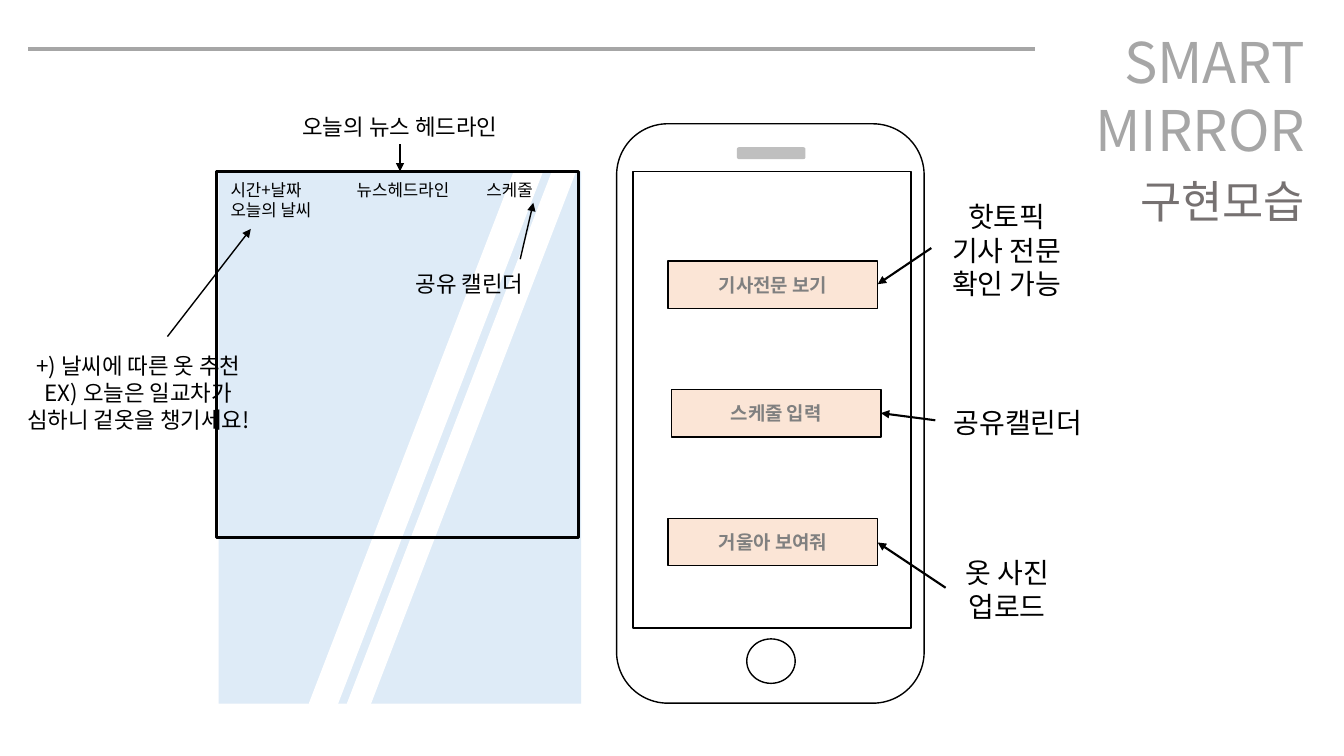
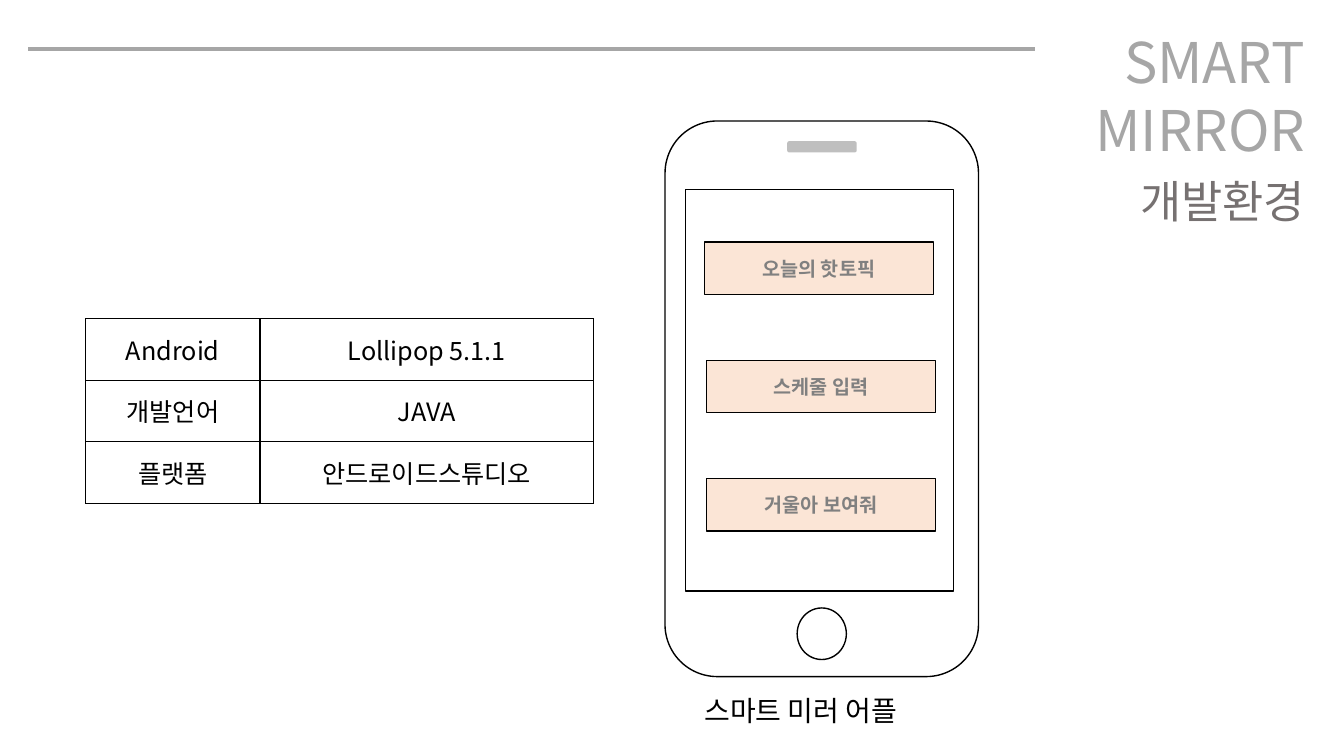
"""Build two slides about a smart mirror: its screens and its development environment."""
from lxml.etree import SubElement
from pptx import Presentation
from pptx.dml.color import RGBColor
from pptx.enum.shapes import MSO_CONNECTOR, MSO_SHAPE
from pptx.enum.text import MSO_ANCHOR, PP_ALIGN
from pptx.oxml.ns import qn
from pptx.util import Cm, Pt

FONT = "Noto Sans CJK KR"
BLACK = RGBColor(0x00, 0x00, 0x00)
WHITE = RGBColor(0xFF, 0xFF, 0xFF)
TITLE_GRAY = RGBColor(0xA6, 0xA6, 0xA6)
SUBTITLE_GRAY = RGBColor(0x76, 0x71, 0x71)
BUTTON_GRAY = RGBColor(0x80, 0x80, 0x80)
SPEAKER_GRAY = RGBColor(0xBF, 0xBF, 0xBF)
GLASS_BLUE = RGBColor(0xDE, 0xEB, 0xF7)
PEACH = RGBColor(0xFB, 0xE5, 0xD6)
LEFT, CENTER, RIGHT = PP_ALIGN.LEFT, PP_ALIGN.CENTER, PP_ALIGN.RIGHT


def write_text(frame, lines, size, color=BLACK, alignment=CENTER, bold=False):
    font_format = {"name": FONT, "size": Pt(size), "bold": bold}
    for index, line in enumerate(lines):
        paragraph = frame.add_paragraph() if index else frame.paragraphs[0]
        paragraph.alignment = alignment
        run = paragraph.add_run()
        run.text = line
        for attribute, value in font_format.items():
            setattr(run.font, attribute, value)
        run.font.color.rgb = color
        SubElement(run.font._element, qn("a:ea"), typeface=FONT)


def place_shape(slide, preset, box, fill=None, line=None, weight=1):
    shape = slide.shapes.add_shape(preset, *map(Cm, box))
    shape.shadow.inherit = False
    if fill is None:
        shape.fill.background()
    else:
        shape.fill.solid()
        shape.fill.fore_color.rgb = fill
    if line is None:
        shape.line.fill.background()
    else:
        shape.line.color.rgb = line
        shape.line.width = Pt(weight)
    return shape


deck = Presentation()
deck.slide_width, deck.slide_height = Cm(33.87), Cm(19.05)
screens, environment = [deck.slides.add_slide(deck.slide_layouts[6]) for _ in range(2)]

place_shape(screens, MSO_SHAPE.RECTANGLE, (5.51, 4.32, 9.14, 13.41), GLASS_BLUE)
for left, width, slant in ((7.8, 5.87, 0.88), (8.76, 5.74, 0.9)):
    gleam = place_shape(screens, MSO_SHAPE.PARALLELOGRAM, (left, 4.32, width, 13.41), WHITE, WHITE)
    gleam.adjustments[0] = slant
place_shape(screens, MSO_SHAPE.RECTANGLE, (5.45, 4.33, 9.14, 9.22), line=BLACK, weight=2.25)

phones = [
    (screens, (15.54, 3.12, 7.75, 14.6), (15.95, 4.32, 7.01, 11.51),
     (18.82, 16.1, 1.22, 1.12), (18.57, 3.71, 1.73, 0.3),
     6.58, 3.24, (5.28, 1.19), 13.5,
     ((16.84, "기사전문 보기"), (16.92, "스케줄 입력"), (16.84, "거울아 보여줘"))),
    (environment, (16.76, 3.05, 7.9, 14), (17.27, 4.78, 6.76, 10.11),
     (20.09, 15.32, 1.24, 1.3), (19.84, 3.56, 1.75, 0.28),
     6.1, 2.98, (5.77, 1.32), 14,
     ((17.75, "오늘의 핫토픽"), (17.81, "스케줄 입력"), (17.81, "거울아 보여줘"))),
]
for slide, body, display, home, speaker, top, step, button_size, size, buttons in phones:
    place_shape(slide, MSO_SHAPE.ROUNDED_RECTANGLE, body, WHITE, BLACK)
    place_shape(slide, MSO_SHAPE.RECTANGLE, display, line=BLACK)
    place_shape(slide, MSO_SHAPE.OVAL, home, WHITE, BLACK)
    place_shape(slide, MSO_SHAPE.ROUNDED_RECTANGLE, speaker, SPEAKER_GRAY)
    for row, (left, label) in enumerate(buttons):
        button = place_shape(slide, MSO_SHAPE.RECTANGLE,
                             (left, top + row * step, *button_size), PEACH, BLACK)
        button.text_frame.vertical_anchor = MSO_ANCHOR.MIDDLE
        write_text(button.text_frame, [label], size, BUTTON_GRAY, bold=True)

tools = [("Android", "Lollipop 5.1.1"), ("개발언어", "JAVA"), ("플랫폼", "안드로이드스튜디오")]
tool_table = environment.shapes.add_table(3, 2, Cm(2.16), Cm(8.03), Cm(12.8), Cm(4.65)).table
tool_table.first_row = tool_table.horz_banding = False
for column, width in zip(tool_table.columns, (4.39, 8.41)):
    column.width = Cm(width)
for row, values in enumerate(tools):
    tool_table.rows[row].height = Cm(1.55)
    for column, value in enumerate(values):
        cell = tool_table.cell(row, column)
        cell.vertical_anchor = MSO_ANCHOR.MIDDLE
        write_text(cell.text_frame, [value], 18)
        for side in ("lnL", "lnR", "lnT", "lnB"):
            border = SubElement(cell._tc.get_or_add_tcPr(), qn(f"a:{side}"), w=str(Pt(1)))
            border_fill = SubElement(border, qn("a:solidFill"))
            SubElement(border_fill, qn("a:srgbClr"), val=str(BLACK))
        cell.fill.background()

texts = [
    (screens, ["오늘의 뉴스 헤드라인"], 16, BLACK, CENTER, (6.88, 2.69, 6.4, 0.94)),
    (screens, ["시간+날짜\t뉴스헤드라인\t스케줄", "오늘의 날씨"], 12, BLACK, LEFT,
     (5.56, 4.37, 8.92, 1.27)),
    (screens, ["공유 캘린더"], 16, BLACK, CENTER, (8.59, 6.63, 6.48, 0.94)),
    (screens, ["+) 날씨에 따른 옷 추천", "EX) 오늘은 일교차가", "심하니 겉옷을 챙기세요!"],
     16, BLACK, CENTER, (-0.69, 8.71, 8.36, 2.31)),
    (screens, ["핫토픽", "기사 전문", "확인 가능"], 20, BLACK, CENTER, (23.47, 4.85, 3.81, 2.82)),
    (screens, ["공유캘린더"], 20, BLACK, CENTER, (23.57, 10.03, 4.17, 1.12)),
    (screens, ["옷 사진 업로드"], 20, BLACK, CENTER, (23.83, 13.82, 3.1, 1.96)),
    (environment, ["스마트 미러 어플"], 20, BLACK, LEFT, (17.5, 17.3, 6.4, 1.12)),
]
lines = [
    (screens, (10.08, 3.63, 10.08, 4.32), BLACK, 1, True),
    (screens, (4.22, 8.48, 6.32, 5.77), BLACK, 1, True),
    (screens, (13.11, 6.53, 13.44, 5.11), BLACK, 1, True),
    (screens, (23.47, 6.25, 22.12, 7.16), BLACK, 1.5, True),
    (screens, (23.57, 10.59, 22.2, 10.41), BLACK, 1.5, True),
    (screens, (23.83, 14.81, 22.12, 13.67), BLACK, 1.5, True),
]
for slide, subtitle in ((screens, "구현모습"), (environment, "개발환경")):
    texts += [
        (slide, ["SMART", "MIRROR"], 40, TITLE_GRAY, RIGHT, (24.05, 0.48, 9.09, 3.68)),
        (slide, [subtitle], 32, SUBTITLE_GRAY, RIGHT, (24.05, 4.17, 9.09, 1.63)),
    ]
    lines.append((slide, (0.71, 1.24, 26.09, 1.24), TITLE_GRAY, 3, False))

for slide, wording, size, color, alignment, box in texts:
    frame = slide.shapes.add_textbox(*map(Cm, box)).text_frame
    frame.word_wrap = True
    frame.margin_top = Pt(3.6 + 0.07 * size)
    write_text(frame, wording, size, color, alignment)
    for paragraph in frame.paragraphs:
        paragraph.line_spacing = Pt(1.2 * size)
        if "\t" in paragraph.text:
            tab_stops = SubElement(paragraph._p.get_or_add_pPr(), qn("a:tabLst"))
            for position in (3.18, 6.45):
                SubElement(tab_stops, qn("a:tab"), pos=str(Cm(position)), algn="l")

for slide, ends, color, weight, pointed in lines:
    connector = slide.shapes.add_connector(MSO_CONNECTOR.STRAIGHT, *map(Cm, ends))
    connector.line.color.rgb = color
    connector.line.width = Pt(weight)
    if pointed:
        SubElement(connector.line._get_or_add_ln(), qn("a:tailEnd"), type="triangle")
    SubElement(connector._element.spPr, qn("a:effectLst"))

deck.save("out.pptx")
